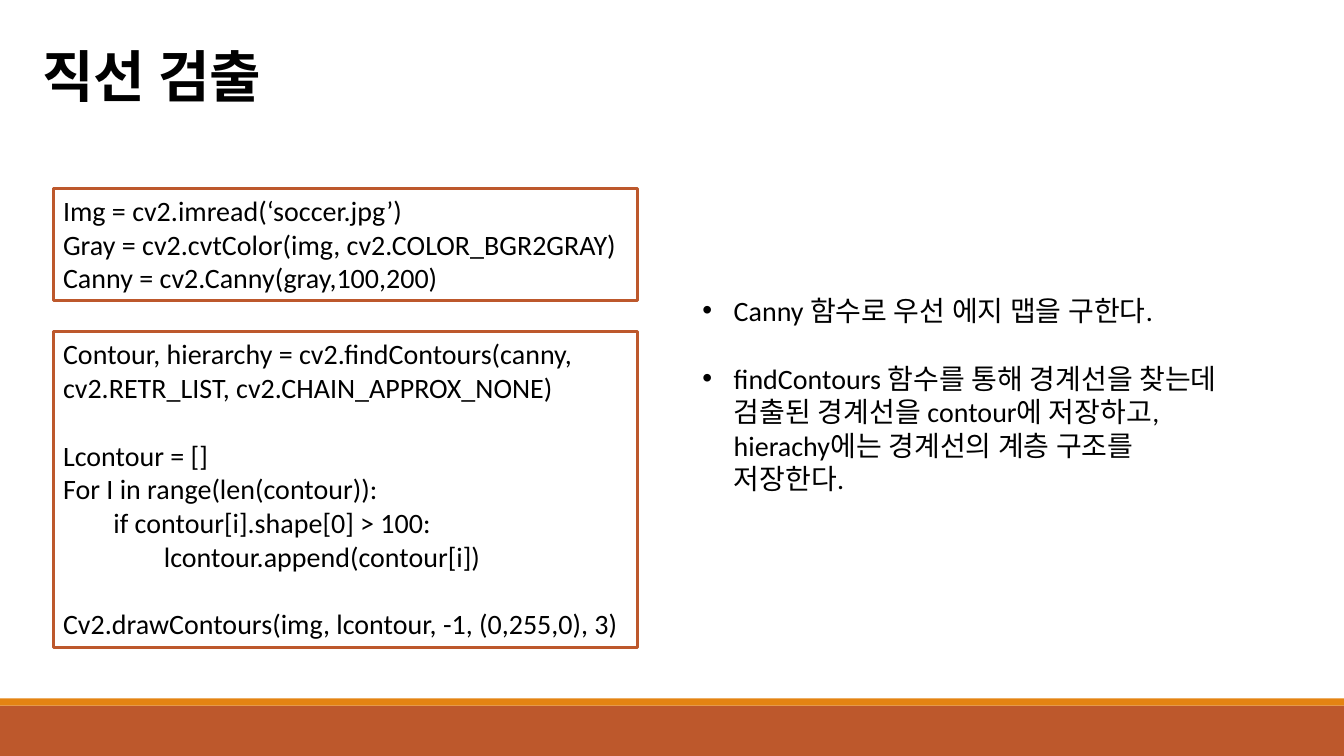
import pptx
import pptx.dml.color
import pptx.enum.shapes
import pptx.enum.text
import pptx.oxml
import pptx.oxml.ns
import pptx.util
from pptx.util import Cm

BLACK = pptx.dml.color.RGBColor(0x00, 0x00, 0x00)
RUST = pptx.dml.color.RGBColor(0xBD, 0x58, 0x2C)
ORANGE = pptx.dml.color.RGBColor(0xE4, 0x83, 0x12)

WIDTH, HEIGHT = Cm(33.87), Cm(19.05)
TITLE_FORMAT = {"size": pptx.util.Pt(40), "bold": True, "name": "Noto Sans CJK KR"}
TEXT_FORMAT = {"size": pptx.util.Pt(20), "name": "Calibri"}
FRAME_FORMAT = {
    "word_wrap": True,
    "auto_size": pptx.enum.text.MSO_AUTO_SIZE.NONE,
    "vertical_anchor": pptx.enum.text.MSO_ANCHOR.TOP,
    "margin_left": Cm(0.25),
    "margin_right": Cm(0.25),
    "margin_top": Cm(0.13),
    "margin_bottom": Cm(0.13),
}
GROUP_GAP = pptx.util.Pt(24.4)
TAB_STEP = Cm(1.27)
BULLET_INDENT = Cm(0.79)

# Each inner list is a group of lines; groups are set apart by one line of space.
EDGE_CODE = [[
    "Img = cv2.imread(‘soccer.jpg’)",
    "Gray = cv2.cvtColor(img, cv2.COLOR_BGR2GRAY)",
    "Canny = cv2.Canny(gray,100,200)",
]]
CONTOUR_CODE = [
    ["Contour, hierarchy = cv2.findContours(canny, cv2.RETR_LIST, cv2.CHAIN_APPROX_NONE)"],
    [
        "Lcontour = []",
        "For I in range(len(contour)):",
        "\tif contour[i].shape[0] > 100:",
        "\t\tlcontour.append(contour[i])",
    ],
    ["Cv2.drawContours(img, lcontour, -1, (0,255,0), 3)"],
]
EXPLANATION = [
    ["Canny 함수로 우선 에지 맵을 구한다."],
    ["findContours 함수를 통해 경계선을 찾는데 검출된 경계선을 contour에 저장하고, "
     "hierachy에는 경계선의 계층 구조를 저장한다."],
]


def apply_format(target, values):
    for name, value in values.items():
        setattr(target, name, value)


def add_xml(parent, tag, **attributes):
    child = pptx.oxml.parse_xml(
        f'<a:{tag} xmlns:a="http://schemas.openxmlformats.org/drawingml/2006/main"/>')
    for name, value in attributes.items():
        child.set(name, str(value))
    parent.append(child)
    return child


def place(shape, box):
    apply_format(shape, dict(zip(("left", "top", "width", "height"), box)))


def write_run(paragraph, text, values):
    """Add a run whose font also covers the Korean letters."""
    run = paragraph.add_run()
    run.text = text
    run.font.color.rgb = BLACK
    apply_format(run.font, values)
    add_xml(run.font._element, "ea", typeface=values["name"])


def write_groups(frame, groups, decorate):
    """Write each line as a paragraph; decorate adds bullets or tab stops."""
    apply_format(frame, FRAME_FORMAT)
    paragraph = frame.paragraphs[0]
    for group_index, group in enumerate(groups):
        for line_index, line in enumerate(group):
            if group_index or line_index:
                paragraph = frame.add_paragraph()
            starts_later_group = group_index > 0 and line_index == 0
            decorate(paragraph._p.get_or_add_pPr())
            apply_format(paragraph, {
                "alignment": pptx.enum.text.PP_ALIGN.LEFT,
                "space_before": GROUP_GAP if starts_later_group else pptx.util.Pt(0),
            })
            write_run(paragraph, line, TEXT_FORMAT)


def set_tab_stops(properties):
    stops = add_xml(properties, "tabLst")
    for level in (1, 2):
        add_xml(stops, "tab", pos=level * TAB_STEP, algn="l")


def set_bullet(properties):
    properties.set("marL", str(BULLET_INDENT))
    properties.set("indent", str(-BULLET_INDENT))
    add_xml(properties, "buFont", typeface="Arial")
    add_xml(properties, "buChar", char="•")


def add_rectangle(slide, box):
    rectangle = slide.shapes.add_shape(pptx.enum.shapes.MSO_SHAPE.RECTANGLE, *box)
    rectangle.shadow.inherit = False
    return rectangle


def add_footer_bands(slide, box):
    left, top, width, height = box
    stripe = Cm(0.18)
    for band_top, band_height, color in (
        (top + stripe, height - stripe, RUST),
        (top, stripe, ORANGE),
    ):
        band = add_rectangle(slide, (left, band_top, width, band_height))
        band.fill.solid()
        band.fill.fore_color.rgb = color
        band.line.fill.background()


def add_title(slide, box):
    title = slide.shapes.title
    place(title, box)
    apply_format(title.text_frame, {
        **FRAME_FORMAT,
        "word_wrap": False,
        "vertical_anchor": pptx.enum.text.MSO_ANCHOR.MIDDLE,
    })
    heading = title.text_frame.paragraphs[0]
    heading.alignment = pptx.enum.text.PP_ALIGN.LEFT
    write_run(heading, "직선 검출", TITLE_FORMAT)


def add_code_column(slide, box):
    left, top, width, height = box
    edge_height, contour_height = Cm(2.82), Cm(7.95)
    for code, code_top, code_height in (
        (EDGE_CODE, top, edge_height),
        (CONTOUR_CODE, top + height - contour_height, contour_height),
    ):
        listing = add_rectangle(slide, (left, code_top, width, code_height))
        listing.fill.background()
        listing.line.color.rgb = RUST
        listing.line.width = pptx.util.Pt(2.25)
        write_groups(listing.text_frame, code, set_tab_stops)


def add_explanation(slide, box):
    explanation = slide.placeholders[1]
    place(explanation, box)
    write_groups(explanation.text_frame, EXPLANATION, set_bullet)


def main():
    presentation = pptx.Presentation()
    apply_format(presentation, {"slide_width": WIDTH, "slide_height": HEIGHT})
    slide = presentation.slides.add_slide(presentation.slide_layouts[1])
    footer_height = Cm(1.45)
    add_footer_bands(slide, (0, HEIGHT - footer_height, WIDTH, footer_height))
    add_title(slide, (Cm(0.82), Cm(0.92), Cm(6.7), Cm(1.96)))
    add_explanation(slide, (Cm(17.45), Cm(7.26), Cm(14.05), Cm(7.09)))
    add_code_column(slide, (Cm(1.34), Cm(4.75), Cm(14.73), Cm(11.56)))
    presentation.save("out.pptx")


if __name__ == "__main__":
    main()
